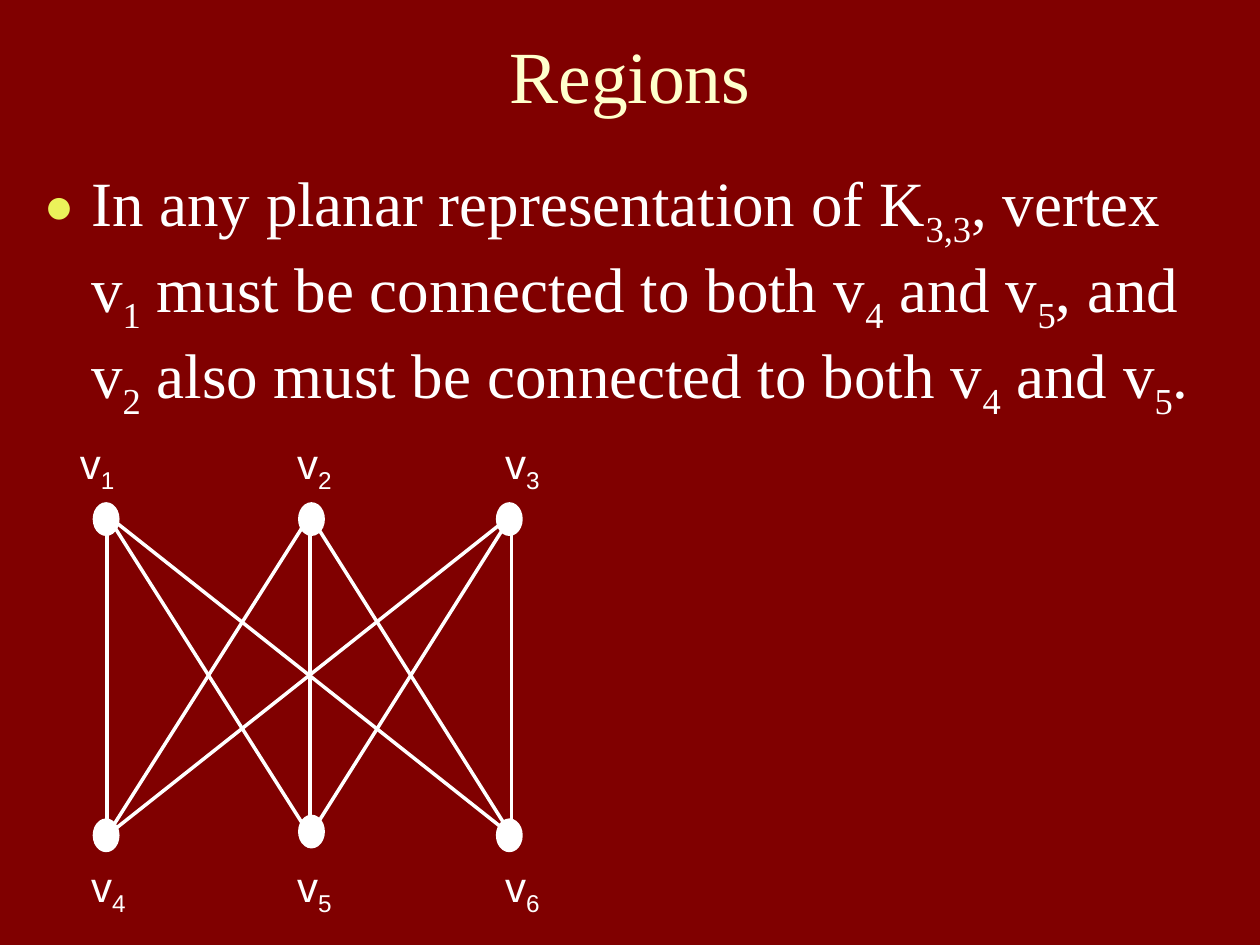
import itertools
from dataclasses import dataclass

import pptx
import pptx.dml.color
import pptx.enum.shapes
import pptx.enum.text
import pptx.oxml
import pptx.oxml.ns
import pptx.util


@dataclass(frozen=True)
class Theme:
    background: str = "800000"
    title: str = "FFFFCC"
    text: str = "FFFFFF"
    bullet: str = "EBF25A"
    serif: str = "Times New Roman"
    sans: str = "Arial"
    title_size: int = 42
    body_size: int = 36
    label_size: int = 24
    line_width: int = 2


theme = Theme()
rgb = pptx.dml.color.RGBColor.from_string
deck = pptx.Presentation()
deck.slide_width = pptx.util.Inches(10)
deck.slide_height = pptx.util.Inches(7.5)
page = deck.slides.add_slide(deck.slide_layouts[6])
page.background.fill.solid()
page.background.fill.fore_color.rgb = rgb(theme.background)

# Grid of 100 columns by 75 rows
column = deck.slide_width / 100
row = deck.slide_height / 75


def add_text_frame(left, top, width, height):
    """Add a wrapping text box, measured in grid columns and rows."""
    box = page.shapes.add_textbox(
        int(left * column), int(top * row), int(width * column), int(height * row))
    box.text_frame.word_wrap = True
    return box.text_frame


def write(para, text, font_name, size, color):
    """Fill a paragraph; parts between underscores become subscripts."""
    for index, part in enumerate(text.split("_")):
        if not part:
            continue
        span = para.add_run()
        span.text = part
        span.font.name = font_name
        span.font.size = pptx.util.Pt(size)
        span.font.color.rgb = rgb(color)
        if index % 2:
            span.font._element.set("baseline", "-25000")


# Title
title = add_text_frame(5, 1.7, 90, 8.3)
title.vertical_anchor = pptx.enum.text.MSO_ANCHOR.MIDDLE
title.paragraphs[0].alignment = pptx.enum.text.PP_ALIGN.CENTER
write(title.paragraphs[0], "Regions", theme.serif, theme.title_size, theme.title)

# Bulleted statement
statement = add_text_frame(2.5, 12.5, 94.2, 25).paragraphs[0]
properties = statement._p.get_or_add_pPr()
properties.set("marL", str(int(3.75 * column)))
properties.set("indent", str(int(-3.75 * column)))
namespace = pptx.oxml.ns.nsdecls("a")
for bullet_xml in (
    f'<a:buClr {namespace}><a:srgbClr val="{theme.bullet}"/></a:buClr>',
    f'<a:buSzPct {namespace} val="80000"/>',
    f'<a:buFont {namespace} typeface="{theme.serif}"/>',
    f'<a:buChar {namespace} char="●"/>',
):
    properties.append(pptx.oxml.parse_xml(bullet_xml))
write(
    statement,
    "In any planar representation of K_3,3_, vertex v_1_ must be connected to both "
    "v_4_ and v_5_, and v_2_ also must be connected to both v_4_ and v_5_.",
    theme.serif, theme.body_size, theme.text)

# Edges of K3,3: every upper vertex joined to every lower vertex
edge_columns = (8.5, 24.6, 40.6)
upper_row, lower_row = 40.9, 66.3
for start, end in itertools.product(edge_columns, repeat=2):
    edge = page.shapes.add_connector(
        pptx.enum.shapes.MSO_CONNECTOR.STRAIGHT,
        int(start * column), int(upper_row * row), int(end * column), int(lower_row * row))
    edge.line.color.rgb = rgb(theme.text)
    edge.line.width = pptx.util.Pt(theme.line_width)
    edge._element.spPr.append(pptx.oxml.parse_xml(f"<a:effectLst {namespace}/>"))

# Vertices
vertex_columns = (7.5, 23.8, 39.5)
vertex_rows = ((40, 40, 40), (65.1, 64.8, 65.1))
for tops in vertex_rows:
    for left, top in zip(vertex_columns, tops):
        vertex = page.shapes.add_shape(
            pptx.enum.shapes.MSO_SHAPE.OVAL,
            int(left * column), int(top * row), int(1.85 * column), int(2.4 * row))
        vertex.shadow.inherit = False
        vertex.fill.solid()
        vertex.fill.fore_color.rgb = rgb(theme.text)
        vertex.line.color.rgb = rgb(theme.text)
        vertex.line.width = pptx.util.Pt(theme.line_width)

# Vertex labels: one line above and one below, set on tab stops
labels = add_text_frame(1.7, 34.2, 53.3, 39.1)
upper_labels = labels.paragraphs[0]
lower_labels = labels.add_paragraph()
lower_labels.space_before = pptx.util.Pt(209)
for para, text, stops in (
    (upper_labels, "\tv_1_\tv_2_\tv_3_", (3.65, 20.9, 37.4)),
    (lower_labels, "\tv_4_\tv_5_\tv_6_", (4.55, 20.9, 37.4)),
):
    tabs = "".join(f'<a:tab pos="{int(stop * column)}" algn="l"/>' for stop in stops)
    para._p.get_or_add_pPr().append(
        pptx.oxml.parse_xml(f"<a:tabLst {namespace}>{tabs}</a:tabLst>"))
    write(para, text, theme.sans, theme.label_size, theme.text)

deck.save("out.pptx")
